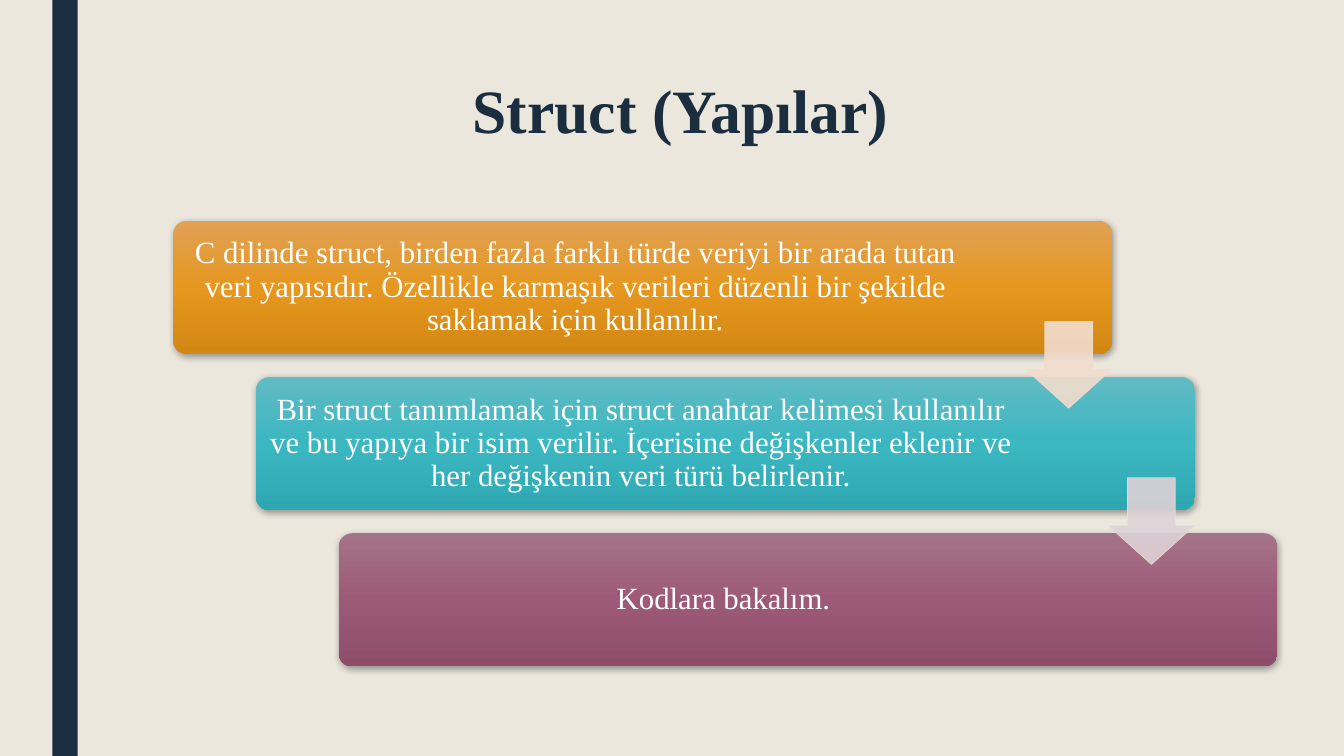
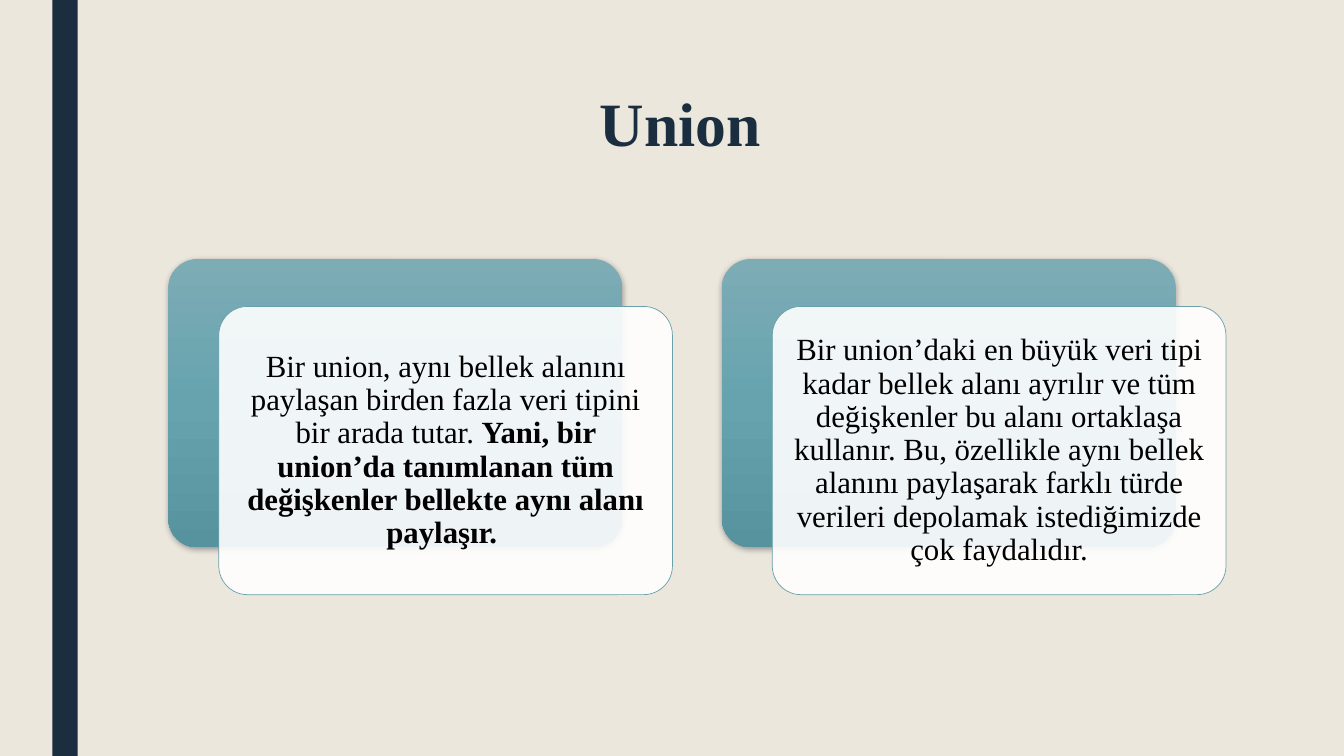
from dataclasses import dataclass

import pptx
import pptx.dml.color
import pptx.enum.shapes
import pptx.enum.text
import pptx.oxml
import pptx.oxml.ns
import pptx.util

Inches = pptx.util.Inches
Pt = pptx.util.Pt
Shapes = pptx.enum.shapes.MSO_SHAPE
Anchor = pptx.enum.text.MSO_ANCHOR
qn = pptx.oxml.ns.qn
NAMESPACE = pptx.oxml.ns.nsdecls("a")


@dataclass(frozen=True)
class Theme:
    font: str = "Times New Roman"
    title_size: int = 44
    body_size: int = 22
    background: str = "EBE7DD"
    navy: str = "1A2E40"
    white: str = "FFFFFF"
    black: str = "000000"
    orange: tuple = ("E1A155", "E5971F", "D38814")
    turquoise: tuple = ("61BBC4", "3BB7C2", "2FA7B2")
    plum: tuple = ("A57388", "9D5A78", "8E4D6A")
    teal: tuple = ("7DACB5", "66A3AE", "57939E")
    card_line: str = "69A1AB"
    arrow_line: str = "F2DDCD"
    arrow_fills: tuple = ("F2DDCD", "DED2D7")
    opacity: int = 90


THEME = Theme()
TITLE_ONLY = 5


def rgb(color):
    return pptx.dml.color.RGBColor.from_string(color)


def write_text(frame, *runs, size=THEME.body_size, color=THEME.black,
               anchor=Anchor.MIDDLE, inset=0.09, spacing=0.9):
    """Write one centred paragraph from (text, bold) runs."""
    frame.word_wrap = True
    frame.auto_size = pptx.enum.text.MSO_AUTO_SIZE.NONE
    frame.vertical_anchor = anchor
    frame.margin_left = frame.margin_right = Inches(inset)
    frame.margin_top = frame.margin_bottom = Inches(inset)
    paragraph = frame.paragraphs[0]
    paragraph.alignment = pptx.enum.text.PP_ALIGN.CENTER
    paragraph.line_spacing = spacing
    for text, bold in runs:
        run = paragraph.add_run()
        run.text = text
        run.font.name = THEME.font
        run.font.size = Pt(size)
        run.font.bold = bold
        run.font.color.rgb = rgb(color)


def add_text(slide, box, *runs, **text_format):
    textbox = slide.shapes.add_textbox(*map(Inches, box))
    write_text(textbox.text_frame, *runs, **text_format)


def add_shape(slide, kind, box, fill=None, line=None, adjustments=()):
    shape = slide.shapes.add_shape(kind, *map(Inches, box))
    shape.shadow.inherit = False
    for index, value in enumerate(adjustments):
        shape.adjustments[index] = value
    if fill:
        shape.fill.solid()
        shape.fill.fore_color.rgb = rgb(fill)
    if line:
        shape.line.color.rgb = rgb(line)
        shape.line.width = Pt(0.5)
    else:
        shape.line.fill.background()
    return shape


def make_translucent(shape, *color_paths):
    for color_path in color_paths:
        color = shape.element.spPr.find("/".join(map(qn, color_path)))
        color.append(pptx.oxml.parse_xml(
            f'<a:alpha {NAMESPACE} val="{THEME.opacity * 1000}"/>'))


FILL_COLOR = ("a:solidFill", "a:srgbClr")
LINE_COLOR = ("a:ln", *FILL_COLOR)


def add_gradient_panel(slide, box, colors):
    """Add a rounded panel with a downward gradient and a soft shadow."""
    panel = add_shape(slide, Shapes.ROUNDED_RECTANGLE, box, adjustments=[0.1])
    properties = panel.element.spPr
    stops = "".join(
        f'<a:gs pos="{index * 50000}"><a:srgbClr val="{color}"/></a:gs>'
        for index, color in enumerate(colors))
    properties.find(qn("a:prstGeom")).addnext(pptx.oxml.parse_xml(
        f'<a:gradFill {NAMESPACE} rotWithShape="1"><a:gsLst>{stops}</a:gsLst>'
        '<a:lin ang="5400000" scaled="0"/></a:gradFill>'))
    properties.find(qn("a:effectLst")).append(pptx.oxml.parse_xml(
        f'<a:outerShdw {NAMESPACE} blurRad="{Pt(4.5)}" dist="{Pt(1.5)}" '
        'dir="5400000" rotWithShape="0"><a:srgbClr val="000000">'
        '<a:alpha val="35000"/></a:srgbClr></a:outerShdw>'))


def add_step(slide, left, top, colors, text, text_width):
    add_gradient_panel(slide, (left, top, 9.31, 1.32), colors)
    add_text(slide, (left + 0.04, top + 0.04, text_width, 1.24),
             (text, False), color=THEME.white)


def add_arrow(slide, left, top, fill):
    arrow = add_shape(slide, Shapes.DOWN_ARROW, (left, top, 0.86, 0.86),
                      fill, THEME.arrow_line, [0.55, 0.45])
    make_translucent(arrow, FILL_COLOR, LINE_COLOR)


def add_card(slide, left, top, *runs):
    """Add a white text card lying over a shifted gradient panel."""
    width, height = 4.5, 2.86
    add_gradient_panel(slide, (left, top, width, height), THEME.teal)
    left, top = left + 0.5, top + 0.47
    card = add_shape(slide, Shapes.ROUNDED_RECTANGLE,
                     (left, top, width, height),
                     THEME.white, THEME.card_line, [0.1])
    make_translucent(card, FILL_COLOR)
    margin = 0.085
    add_text(slide, (left + margin, top + margin,
                     width - 2 * margin, height - 2 * margin), *runs)


def add_titled_slide(presentation, title, top, height):
    slide = presentation.slides.add_slide(
        presentation.slide_layouts[TITLE_ONLY])
    placeholder = slide.shapes.title
    placeholder.left, placeholder.top = Inches(1.5), Inches(top)
    placeholder.width, placeholder.height = Inches(10.5), Inches(height)
    write_text(placeholder.text_frame, (title, True), size=THEME.title_size,
               color=THEME.navy, anchor=Anchor.TOP, inset=0.05, spacing=0.89)
    return slide


def style_master(presentation, slide):
    """Set the background and move a band drawn on the slide to the master."""
    master = presentation.slide_master
    master.background.fill.solid()
    master.background.fill.fore_color.rgb = rgb(THEME.background)
    band = add_shape(slide, Shapes.RECTANGLE, (0.52, 0, 0.25, 7.5), THEME.navy)
    master.shapes.element.insert(2, band.element)


def build_struct_slide(presentation):
    slide = add_titled_slide(presentation, "Struct (Yapılar)", 0.75, 0.99)
    steps = [
        (THEME.orange, 7.89,
         "C dilinde struct, birden fazla farklı türde veriyi bir arada tutan "
         "veri yapısıdır. Özellikle karmaşık verileri düzenli bir şekilde "
         "saklamak için kullanılır."),
        (THEME.turquoise, 7.55,
         "Bir struct tanımlamak için struct anahtar kelimesi kullanılır ve bu "
         "yapıya bir isim verilir. İçerisine değişkenler eklenir ve her "
         "değişkenin veri türü belirlenir."),
        (THEME.plum, 7.55, "Kodlara bakalım."),
    ]
    corners = [(1.72 + 0.82 * index, 2.19 + 1.55 * index)
               for index in range(len(steps))]
    for (left, top), (colors, text_width, text) in zip(corners, steps):
        add_step(slide, left, top, colors, text, text_width)
    for (left, top), fill in zip(corners, THEME.arrow_fills):
        add_arrow(slide, left + 8.45, top + 1, fill)
    return slide


def build_union_slide(presentation):
    slide = add_titled_slide(presentation, "Union", 0.88, 1.22)
    cards = [
        [("Bir union, aynı bellek alanını paylaşan birden fazla veri tipini "
          "bir arada tutar. ", False),
         ("Yani, bir union’da tanımlanan tüm değişkenler bellekte aynı alanı "
          "paylaşır. ", True)],
        [("Bir union’daki en büyük veri tipi kadar bellek alanı ayrılır ve "
          "tüm değişkenler bu alanı ortaklaşa kullanır. Bu, özellikle aynı "
          "bellek alanını paylaşarak farklı türde verileri depolamak "
          "istediğimizde çok faydalıdır.", False)],
    ]
    for index, runs in enumerate(cards):
        add_card(slide, 1.67 + 5.49 * index, 2.57, *runs)


def main():
    presentation = pptx.Presentation()
    presentation.slide_width = Inches(13.33)
    presentation.slide_height = Inches(7.5)
    struct_slide = build_struct_slide(presentation)
    style_master(presentation, struct_slide)
    build_union_slide(presentation)
    presentation.save("out.pptx")


if __name__ == "__main__":
    main()
